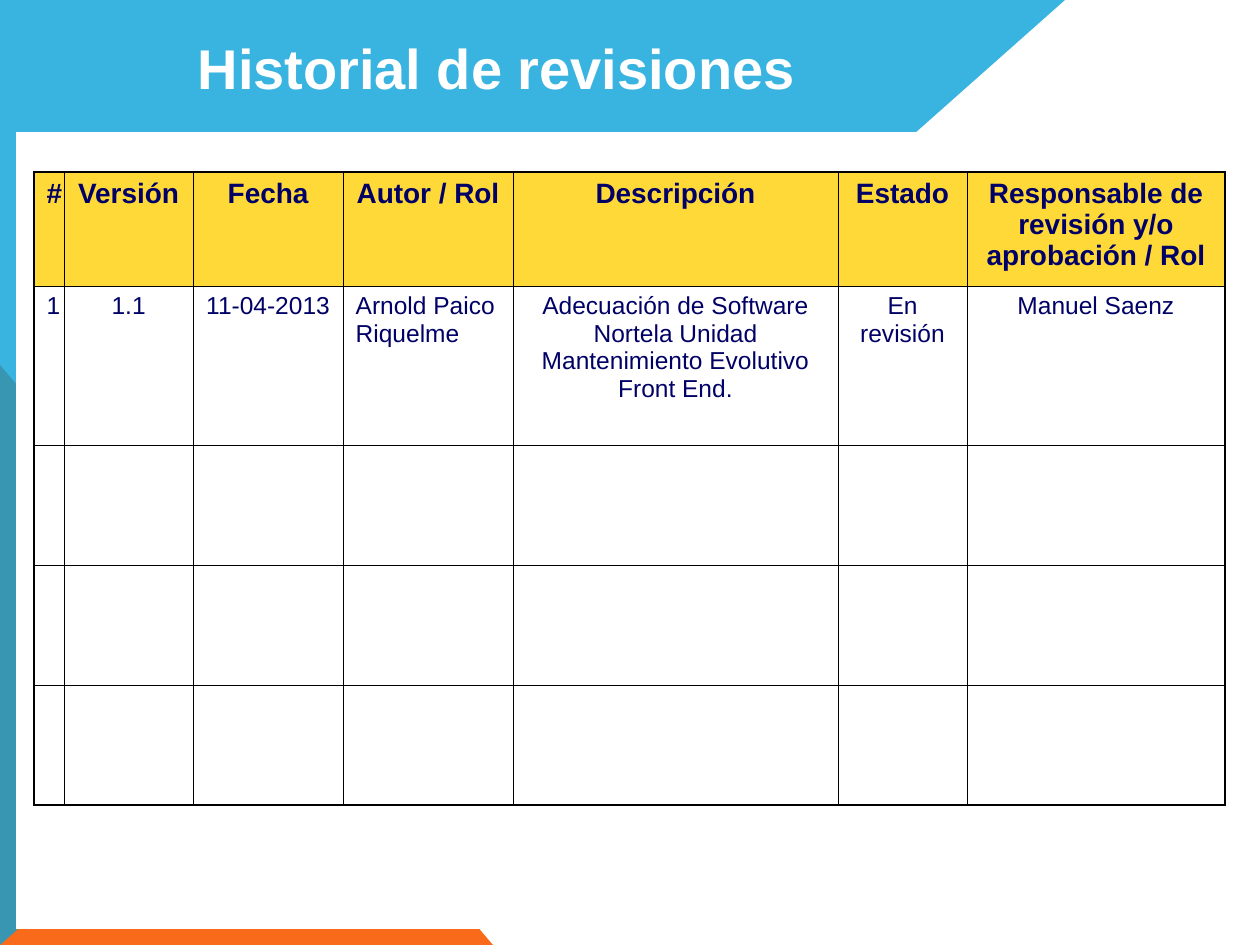
from pptx import Presentation
from pptx.dml.color import RGBColor
from pptx.enum.shapes import MSO_SHAPE
from pptx.enum.text import MSO_ANCHOR, PP_ALIGN
from pptx.oxml import parse_xml
from pptx.oxml.ns import nsdecls, qn
from pptx.util import Emu, Pt
from lxml import etree

TRIANGLE, RECTANGLE = MSO_SHAPE.RIGHT_TRIANGLE, MSO_SHAPE.RECTANGLE
LEFT, CENTER = PP_ALIGN.LEFT, PP_ALIGN.CENTER
MIDDLE = MSO_ANCHOR.MIDDLE
TITLE_ONLY = 5

COLUMN_WIDTHS = [30, 129, 150, 170, 325, 129, 258]
ROW_HEIGHTS = [114, 159, 120, 120, 120]
HEADINGS = ["#", "Versión", "Fecha", "Autor / Rol", "Descripción", "Estado",
            "Responsable de revisión y/o aprobación / Rol"]
REVISIONS = [
    ["1", "1.1", "11-04-2013", "Arnold Paico Riquelme",
     "Adecuación de Software Nortela Unidad Mantenimiento Evolutivo Front End.",
     "En revisión", "Manuel Saenz"],
]
AUTHOR_COLUMN = HEADINGS.index("Autor / Rol")


def px(length):
    return Emu(round(length * 914400 / 126))


def color(value):
    return RGBColor.from_string(value)


class SlideBuilder:
    """Holds the style and the current slide, and draws each kind of element."""

    font = "Arial"
    ink = "000066"
    header_fill = "FFD937"
    border = "000000"
    outer_width, inner_width = 1.08, 0.45

    def __init__(self, deck):
        self.slide = deck.slides.add_slide(deck.slide_layouts[TITLE_ONLY])

    def shape(self, kind, left, top, width, height, fill, rotation=0, opacity=100):
        shape = self.slide.shapes.add_shape(kind, px(left), px(top), px(width), px(height))
        shape.shadow.inherit = False
        shape.rotation = rotation
        shape.fill.solid()
        shape.fill.fore_color.rgb = color(fill)
        shape.line.fill.background()
        if opacity < 100:
            tint = shape.element.spPr.find(qn("a:solidFill"))[0]
            etree.SubElement(tint, qn("a:alpha"), val=str(opacity * 1000))

    def span(self, para, text, size, fill, bold):
        span = para.add_run()
        span.text = text
        span.font.name = self.font
        span.font.size = Pt(size)
        span.font.bold = bold
        span.font.color.rgb = color(fill)

    def title(self, text, left, top, width, height):
        box = self.slide.shapes.title
        box.left, box.top, box.width, box.height = map(px, (left, top, width, height))
        box.text_frame.word_wrap = False
        box.text_frame.vertical_anchor = MIDDLE
        para = box.text_frame.paragraphs[0]
        para.alignment = LEFT
        self.span(para, text, 32, "FFFFFF", True)
        box.element.getparent().append(box.element)

    def table(self, left, top, widths, heights, records):
        frame = self.slide.shapes.add_table(
            len(heights), len(widths), px(left), px(top), px(sum(widths)), px(sum(heights)))
        table = frame.table
        table.first_row = table.horz_banding = False
        for column, width in zip(table.columns, widths):
            column.width = px(width)
        for row, height in zip(table.rows, heights):
            row.height = px(height)
        last_row, last_column = len(heights) - 1, len(widths) - 1
        for r in range(len(heights)):
            for c in range(len(widths)):
                cell = table.cell(r, c)
                self.cell_borders(cell, L=c == 0, R=c == last_column,
                                  T=r == 0, B=r == last_row)
                if r == 0:
                    cell.fill.solid()
                    cell.fill.fore_color.rgb = color(self.header_fill)
                else:
                    cell.fill.background()
                if r < len(records):
                    self.cell_text(cell, records[r][c], r == 0,
                                   LEFT if r and c == AUTHOR_COLUMN else CENTER)

    def cell_text(self, cell, text, heading, alignment):
        para = cell.text_frame.paragraphs[0]
        para.alignment = alignment
        para.space_before = Pt(4 if heading else 3.5)
        self.span(para, text, 16 if heading else 14, self.ink, heading)

    def cell_borders(self, cell, **outer_sides):
        properties = cell._tc.get_or_add_tcPr()
        for side, outer in outer_sides.items():
            width = Pt(self.outer_width if outer else self.inner_width)
            properties.append(parse_xml(
                f'<a:ln{side} {nsdecls("a")} w="{width}"><a:solidFill>'
                f'<a:srgbClr val="{self.border}"/></a:solidFill></a:ln{side}>'))


def main():
    deck = Presentation()
    deck.slide_width, deck.slide_height = px(1260), px(945)
    page = SlideBuilder(deck)
    page.shape(TRIANGLE, 0, 365, 493, 580, "F96A1B")
    page.shape(TRIANGLE, 60, -60, 945, 1065, "08A1D9", rotation=90, opacity=80)
    page.shape(RECTANGLE, 16, 132, 1229, 797, "FFFFFF")
    page.title("Historial de revisiones", 185, 27, 624, 81)
    page.table(34, 172, COLUMN_WIDTHS, ROW_HEIGHTS, [HEADINGS, *REVISIONS])
    deck.save("out.pptx")


if __name__ == "__main__":
    main()
